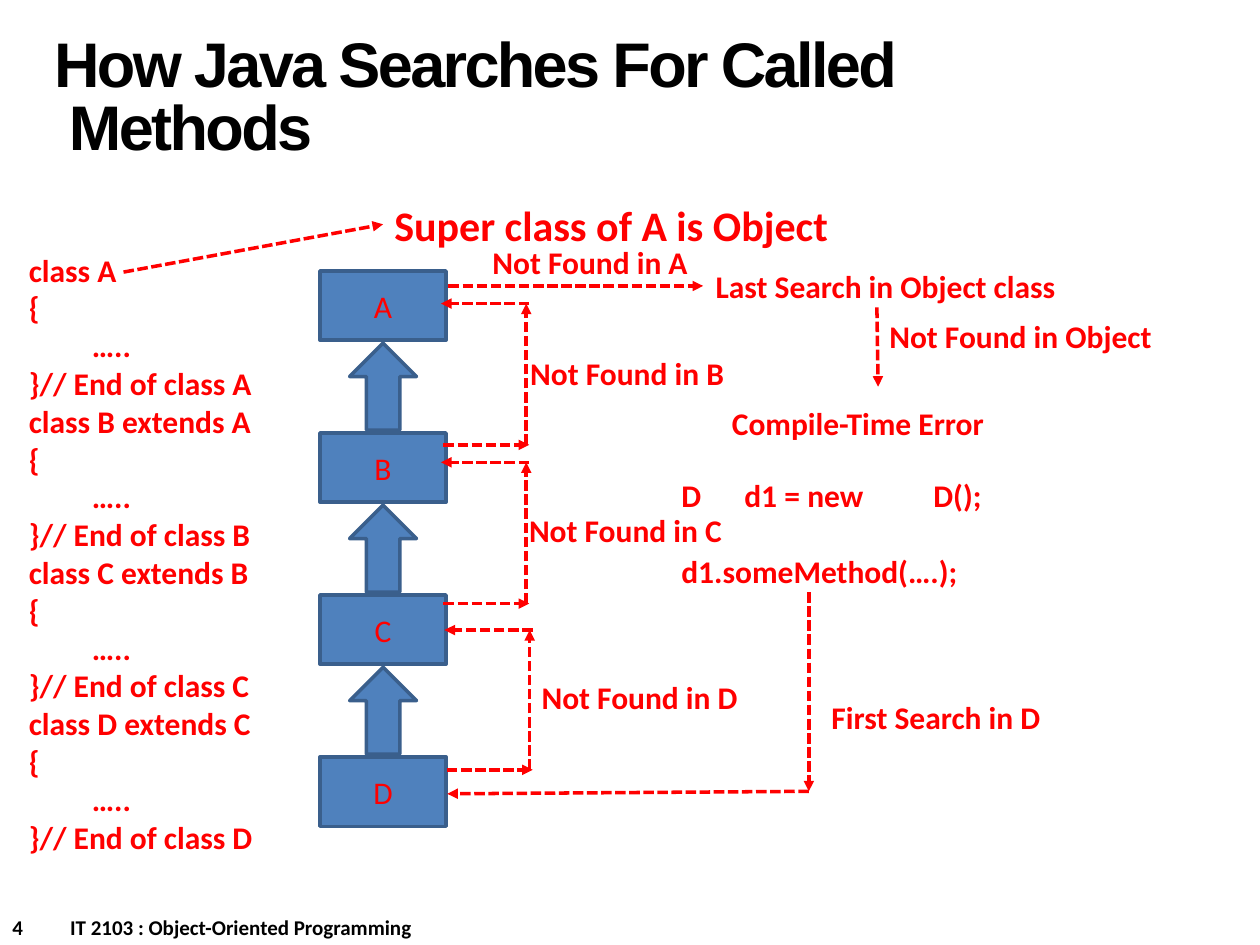
from pptx import Presentation
from pptx.util import Pt
from pptx.dml.color import RGBColor
from pptx.enum.dml import MSO_LINE
from pptx.enum.shapes import MSO_CONNECTOR, MSO_SHAPE
from pptx.enum.text import MSO_ANCHOR, PP_ALIGN
from pptx.oxml.ns import qn
from lxml import etree

RECT, UP_ARROW = MSO_SHAPE.RECTANGLE, MSO_SHAPE.UP_ARROW
STRAIGHT, DASH = MSO_CONNECTOR.STRAIGHT, MSO_LINE.SQUARE_DOT
MIDDLE, CENTER = MSO_ANCHOR.MIDDLE, PP_ALIGN.CENTER
COLORS = {"black": "000000", "red": "FF0000", "box": "4F81BD", "edge": "3A5F8C"}

TITLE = "How Java Searches For Called\vMethods"
FOOTER = "4\tIT 2103 : Object-Oriented Programming"
CLASSES = ["A", "B", "C", "D"]
HEADERS = ["class A", "class B extends A", "class C extends B", "class D extends C"]
CALLS = ["D \td1 = \tnew \tD();", "d1.someMethod(….);"]

LABELS = [
    ("Super class of A is Object", 218.2, 110.2, 265, 36, 24),
    ("Last Search in Object class", 401.8, 149, 210.2, 29, 18),
    ("First Search in D", 468, 395.3, 135.4, 29, 18),
    ("Not Found in D", 302.4, 383.8, 127.4, 29, 18),
    ("Not Found in C", 295.2, 288.7, 126, 29, 18),
    ("Not Found in B", 295.9, 198.7, 126.7, 29, 18),
    ("Not Found in A", 274.3, 135.4, 127.4, 29, 18),
    ("Not Found in Object", 501.1, 177.8, 165.6, 29, 18),
    ("Compile-Time Error", 411.1, 227.5, 181.4, 29, 18),
]
ARROWS = [
    (70.6, 155.5, 218.9, 128.2),
    (462.2, 338.4, 462.2, 452.2),
    (462.2, 452.2, 255.6, 453.6),
    (256.3, 163.4, 401.8, 163.4),
    (501.1, 175.7, 501.8, 221),
]
LOOPS = [(255.4, 439.9, 360), (253.4, 344.9, 264.2), (253.4, 254.2, 173.5)]
LOOP_W, RISER_GAP, BACK_GAP = 49, 1.7, 1.4
BOX_X, BOX_Y, BOX_W, BOX_H, PITCH = 182.9, 154.8, 72, 39.6, 92.6
ARROW_W, ARROW_H = 38.2, 49.7

prs = Presentation()
prs.slide_width, prs.slide_height = Pt(720), Pt(540)
slide = prs.slides.add_slide(prs.slide_layouts[6])


def rgb(name):
    return RGBColor.from_string(COLORS[name])


def style(tf, size, color="red", bold=True, font="Calibri"):
    for p in tf.paragraphs:
        for r in p.runs:
            r.font.name, r.font.size, r.font.bold = font, Pt(size), bold
            r.font.color.rgb = rgb(color)


def add_text(text, x, y, w, h, size, wrap=True, **look):
    tf = slide.shapes.add_textbox(Pt(x), Pt(y), Pt(w), Pt(h)).text_frame
    tf.word_wrap = wrap
    tf.text = text
    style(tf, size, **look)
    return tf


def add_block(kind, x, y, w, h):
    s = slide.shapes.add_shape(kind, Pt(x), Pt(y), Pt(w), Pt(h))
    s.shadow.inherit = False
    s.fill.solid()
    s.fill.fore_color.rgb = rgb("box")
    s.line.color.rgb = rgb("edge")
    s.line.width = Pt(2)
    return s


def add_arrow(x1, y1, x2, y2):
    c = slide.shapes.add_connector(STRAIGHT, Pt(x1), Pt(y1), Pt(x2), Pt(y2))
    c.line.color.rgb = rgb("red")
    c.line.width = Pt(2)
    c.line.dash_style = DASH
    etree.SubElement(c.line._get_or_add_ln(), qn("a:tailEnd"), type="triangle")
    etree.SubElement(c._element.spPr, qn("a:effectLst"))


footer = add_text(FOOTER, 0, 519.1, 360, 21.6, 12, color="black")
tabs = etree.SubElement(footer.paragraphs[0]._p.get_or_add_pPr(), qn("a:tabLst"))
etree.SubElement(tabs, qn("a:tab"), pos=str(Pt(33)), algn="l")

title = add_text(TITLE, 23.8, 12.2, 498.2, 90, 36, color="black", font="Arial")
title.vertical_anchor = MIDDLE
p = title.paragraphs[0]
p.line_spacing = Pt(36)
pPr = p._p.get_or_add_pPr()
pPr.set("marL", str(Pt(8.5)))
pPr.set("indent", str(Pt(-8.5)))
for r in p.runs:
    r.font._element.set("spc", "-150")

for i, name in enumerate(CLASSES):
    y = BOX_Y + i * PITCH
    box = add_block(RECT, BOX_X, y, BOX_W, BOX_H)
    tf = box.text_frame
    tf.text = name
    tf.vertical_anchor = MIDDLE
    tf.paragraphs[0].alignment = CENTER
    style(tf, 18, bold=False)
    if i:
        gap_top = y - (PITCH - BOX_H)
        add_block(UP_ARROW, BOX_X + (BOX_W - ARROW_W) / 2,
                  gap_top + (PITCH - BOX_H - ARROW_H) / 2, ARROW_W, ARROW_H)

code = "\n".join(f"{header}\n{{\v\t…..\n}}// End of class {name}"
                 for header, name in zip(HEADERS, CLASSES))
add_text(code, 9.4, 139.7, 163.4, 356.4, 18)

calls = add_text("\n".join(CALLS), 382.3, 268.6, 276.5, 116.6, 18)
calls.paragraphs[1].space_before = Pt(21.6)

for arrow in ARROWS:
    add_arrow(*arrow)
for x, low, high in LOOPS:
    end = x + LOOP_W
    riser = end - RISER_GAP
    add_arrow(x, low, end, low)
    add_arrow(riser, low, riser, high)
    add_arrow(end, high, x - BACK_GAP, high)

for label in LABELS:
    add_text(*label, wrap=False)

prs.save("out.pptx")
